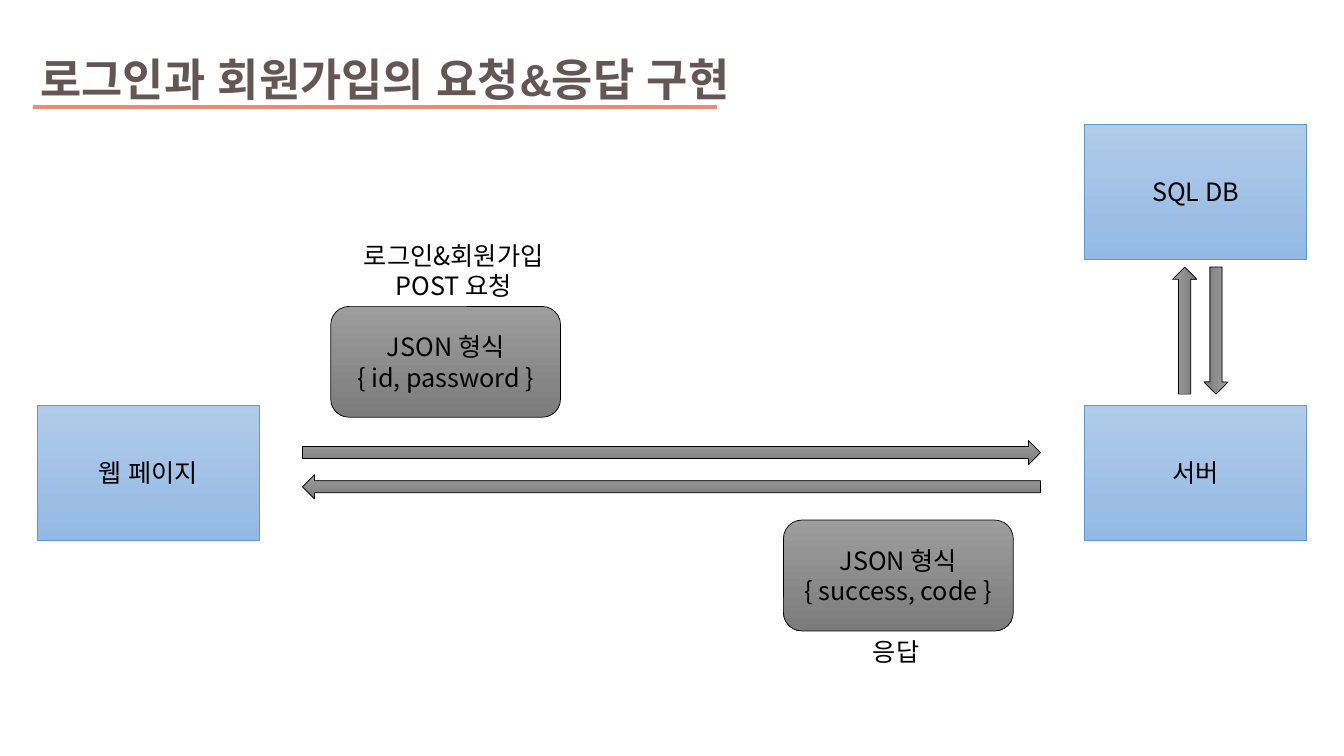
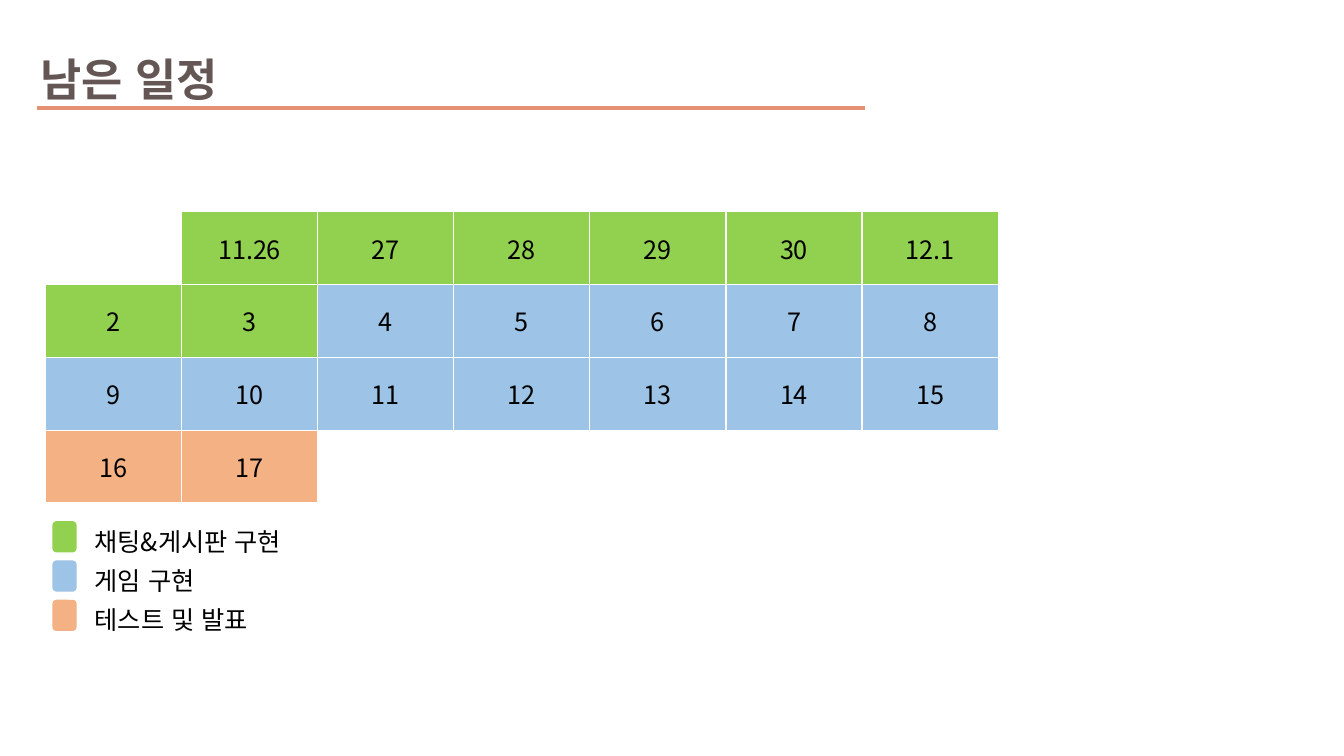
from pptx import Presentation
from pptx.dml.color import RGBColor
from pptx.enum import lang, shapes, text
from pptx.oxml.ns import qn
from pptx.util import Inches, Pt
from lxml import etree

BROWN = RGBColor(0x64, 0x56, 0x54)
CORAL = RGBColor(0xE4, 0x91, 0x73)
BLACK = RGBColor(0x00, 0x00, 0x00)
WHITE = RGBColor(0xFF, 0xFF, 0xFF)
BLUE_LINE = RGBColor(0x5B, 0x9B, 0xD5)
BLUE_TOP = RGBColor(0xB1, 0xCB, 0xE9)
BLUE_BOTTOM = RGBColor(0x93, 0xB9, 0xE4)
GRAY_TOP = RGBColor(0x9D, 0x9D, 0x9D)
GRAY_BOTTOM = RGBColor(0x7C, 0x7C, 0x7C)
GREEN = RGBColor(0x92, 0xD0, 0x50)
BLUE = RGBColor(0x9D, 0xC3, 0xE6)
ORANGE = RGBColor(0xF4, 0xB1, 0x83)

BODY_FONT = "Noto Sans CJK KR"
TITLE_FONT = "Arial"
LEFT = text.PP_ALIGN.LEFT
CENTER = text.PP_ALIGN.CENTER
AUTO_SHAPE = shapes.MSO_SHAPE


def write_text(text_frame, content, align=LEFT, font=BODY_FONT, size=18, color=BLACK, bold=False):
    text_frame.text = content
    for paragraph in text_frame.paragraphs:
        paragraph.alignment = align
        for run in paragraph.runs:
            run.font.name = font
            run.font.size = Pt(size)
            run.font.bold = bold
            run.font.color.rgb = color
            run.font.language_id = lang.MSO_LANGUAGE_ID.KOREAN
            east_asian = etree.SubElement(run.font._element, qn("a:ea"))
            east_asian.set("typeface", BODY_FONT)


def add_titled_slide(presentation, title, rule_start, rule_end, rule_top):
    slide = presentation.slides.add_slide(presentation.slide_layouts[5])
    rule = slide.shapes.add_connector(
        shapes.MSO_CONNECTOR.STRAIGHT,
        Inches(rule_start), Inches(rule_top), Inches(rule_end), Inches(rule_top))
    rule.line.color.rgb = CORAL
    rule.line.width = Pt(3)
    etree.SubElement(rule._element.spPr, qn("a:effectLst"))
    heading = slide.shapes.title
    heading.left, heading.top = Inches(0.3), Inches(0.46)
    heading.width, heading.height = Inches(8.5), Inches(0.64)
    write_text(heading.text_frame, title, LEFT, TITLE_FONT, 32, BROWN, True)
    heading.text_frame.vertical_anchor = text.MSO_ANCHOR.TOP
    heading.text_frame.auto_size = text.MSO_AUTO_SIZE.NONE
    return slide


presentation = Presentation()
presentation.slide_width = Inches(13.33)
presentation.slide_height = Inches(7.5)

slide = add_titled_slide(presentation, "로그인과 회원가입의 요청&응답 구현", 0.33, 7.11, 1.06)

node_style = (BLUE_TOP, BLUE_BOTTOM, BLUE_LINE)
message_style = (GRAY_TOP, GRAY_BOTTOM, BLACK)
node = (AUTO_SHAPE.RECTANGLE, 2.2, 1.34, 0, node_style)
message = (AUTO_SHAPE.ROUNDED_RECTANGLE, 2.28, 1.1, 0, message_style)
request_arrow = (AUTO_SHAPE.RIGHT_ARROW, 7.32, 0.24, 0, message_style)
response_arrow = (AUTO_SHAPE.LEFT_ARROW, 7.32, 0.24, 0, message_style)
up_arrow = (AUTO_SHAPE.RIGHT_ARROW, 1.26, 0.24, 270, message_style)
down_arrow = (AUTO_SHAPE.RIGHT_ARROW, 1.26, 0.24, 90, message_style)

diagram = [
    (node, 0.37, 4.02, "웹 페이지"),
    (node, 10.76, 4.02, "서버"),
    (node, 10.76, 1.23, "SQL DB"),
    (request_arrow, 3, 4.37, ""),
    (response_arrow, 3, 4.71, ""),
    (up_arrow, 11.12, 3.16, ""),
    (down_arrow, 11.43, 3.16, ""),
    (message, 3.28, 3.04, "JSON 형식\n{ id, password }"),
    (message, 7.77, 5.16, "JSON 형식\n{ success, code }"),
]
for (kind, width, height, rotation, style), left, top, content in diagram:
    shape = slide.shapes.add_shape(kind, Inches(left), Inches(top), Inches(width), Inches(height))
    shape.rotation = rotation
    shape.shadow.inherit = False
    shape.fill.gradient()
    shape.fill.gradient_angle = 270
    for stop, color, position in zip(shape.fill.gradient_stops, style, (0, 1)):
        stop.color.rgb = color
        stop.position = position
    shape.line.color.rgb = style[2]
    shape.line.width = Pt(0.5)
    if content:
        write_text(shape.text_frame, content, CENTER)
        shape.text_frame.vertical_anchor = text.MSO_ANCHOR.MIDDLE

captions = [
    (3.28, 2.33, 2.44, 0.71, "로그인&회원가입\vPOST 요청", CENTER),
    (8.56, 6.26, 2.13, 0.4, "응답", LEFT),
]
for left, top, width, height, content, align in captions:
    caption = slide.shapes.add_textbox(Inches(left), Inches(top), Inches(width), Inches(height))
    caption.text_frame.word_wrap = True
    write_text(caption.text_frame, content, align)

slide = add_titled_slide(presentation, "남은 일정", 0.37, 8.58, 1.07)

days = ["", "11.26", "27", "28", "29", "30", "12.1"] + [str(day) for day in range(2, 18)]
day_colors = [WHITE] + [GREEN] * 8 + [BLUE] * 12 + [ORANGE] * 2
columns, rows = 7, 4
calendar = slide.shapes.add_table(
    rows, columns, Inches(0.45), Inches(2.1), Inches(9.45), Inches(2.89)).table
calendar.first_row = False
calendar.horz_banding = False
for index in range(rows * columns):
    cell = calendar.cell(index // columns, index % columns)
    cell.fill.solid()
    cell.fill.fore_color.rgb = day_colors[index] if index < len(days) else WHITE
    cell.vertical_anchor = text.MSO_ANCHOR.MIDDLE
    if index < len(days):
        write_text(cell.text_frame, days[index], CENTER)
calendar.cell(3, 2).merge(calendar.cell(3, 6))

legend = [(GREEN, "채팅&게시판 구현"), (BLUE, "게임 구현"), (ORANGE, "테스트 및 발표")]
for index, (color, content) in enumerate(legend):
    top = Inches(5.17 + 0.39 * index)
    swatch = slide.shapes.add_shape(
        AUTO_SHAPE.ROUNDED_RECTANGLE, Inches(0.52), top, Inches(0.24), Inches(0.31))
    swatch.shadow.inherit = False
    swatch.fill.solid()
    swatch.fill.fore_color.rgb = color
    swatch.line.fill.background()
    label = slide.shapes.add_textbox(Inches(0.84), top, Inches(2.28), Inches(0.4))
    label.text_frame.word_wrap = True
    write_text(label.text_frame, content)

presentation.save("out.pptx")
